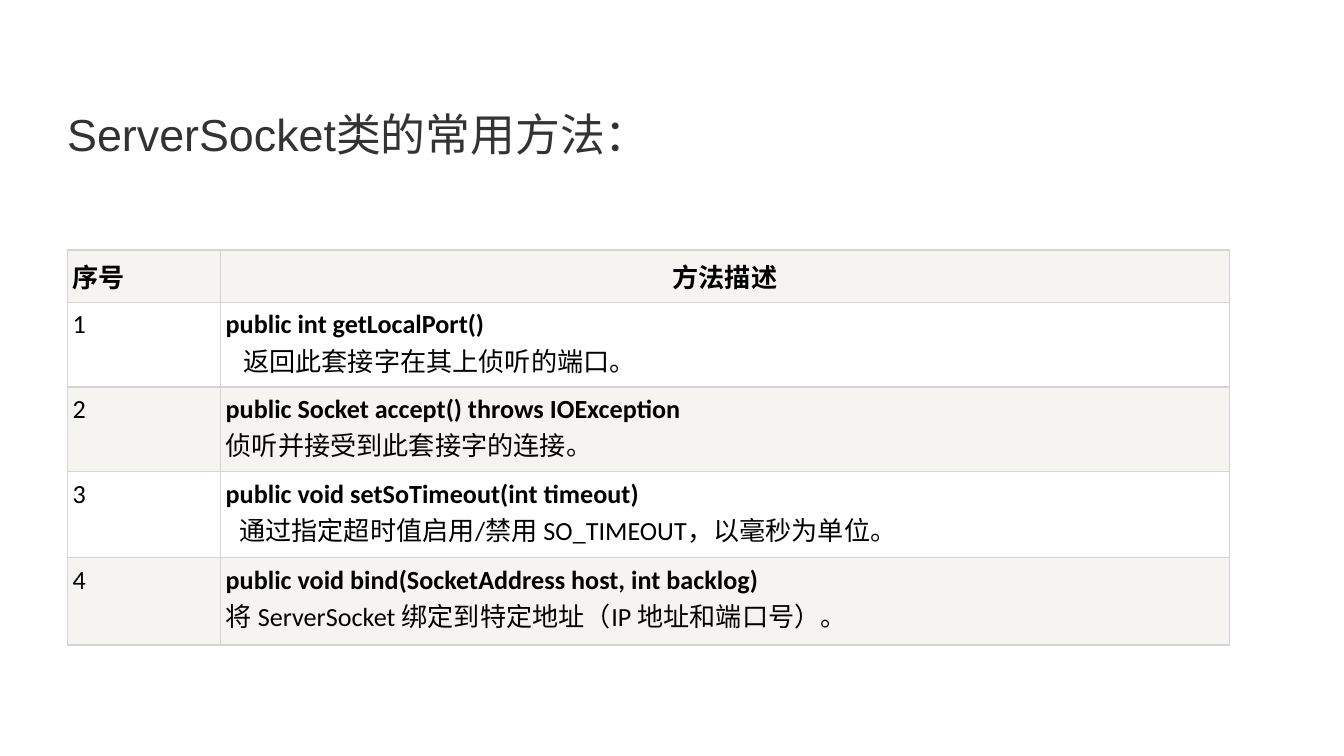
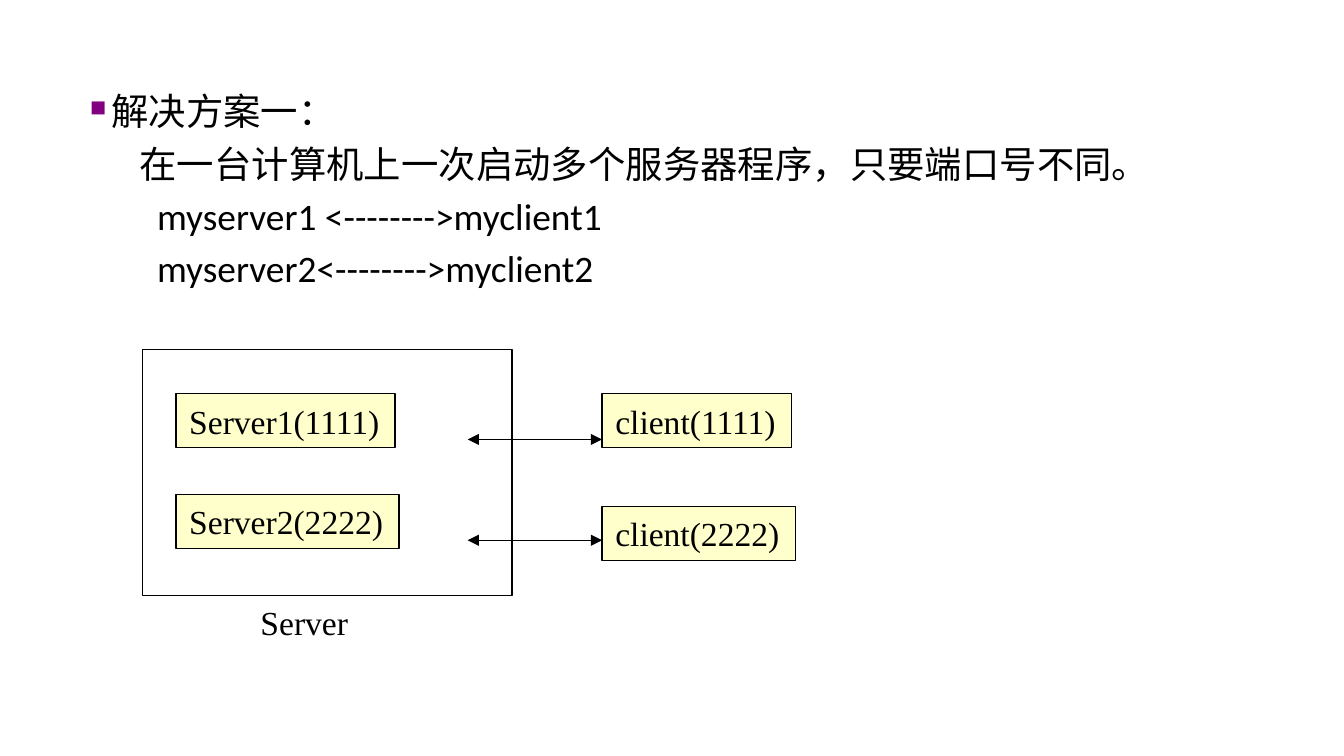
from lxml.etree import SubElement
from pptx import Presentation
from pptx.dml.color import RGBColor
from pptx.enum.shapes import MSO_CONNECTOR, MSO_SHAPE
from pptx.enum.text import MSO_ANCHOR, MSO_AUTO_SIZE, PP_ALIGN
from pptx.oxml import parse_xml
from pptx.oxml.ns import nsdecls, qn
from pptx.util import Inches, Pt

HUES = {"ink": "000000", "title": "333333", "paper": "FFFFFF", "band": "F6F4F0",
        "grid": "D4D4D4", "box": "FFFFCC", "bullet": "800080"}
HEAD = {"name": "Arial", "size": Pt(24), "bold": False}
CELL = {"name": "Calibri", "size": Pt(14)}
BODY = {"name": "Calibri", "size": Pt(20)}
LABEL = {"name": "Times New Roman", "size": Pt(18)}


def style(para, form, hue="ink"):
    for run in para.runs:
        for key, value in form.items():
            setattr(run.font, key, value)
        run.font.color.rgb = RGBColor.from_string(HUES[hue])


def indent(para, left, first=0):
    """Set the left margin and first-line offset in inches."""
    props = para._p.get_or_add_pPr()
    props.set("marL", str(Inches(left)))
    props.set("indent", str(Inches(first)))
    return props


deck = Presentation()
deck.slide_width = Inches(10)
deck.slide_height = deck.slide_width * 9 // 16

# Slide 1: method table
slide = deck.slides.add_slide(deck.slide_layouts[5])
title = slide.shapes.title
title.left, title.top = Inches(0.5), Inches(0.79)
title.width, title.height = Inches(8.65), Inches(1.21)
frame = title.text_frame
frame.text = "ServerSocket类的常用方法："
form = {"margin_left": 0, "margin_right": 0, "margin_top": 0, "margin_bottom": 0,
        "vertical_anchor": MSO_ANCHOR.TOP, "word_wrap": True,
        "auto_size": MSO_AUTO_SIZE.NONE}
for key, value in form.items():
    setattr(frame, key, value)
frame.paragraphs[0].alignment = PP_ALIGN.LEFT
style(frame.paragraphs[0], HEAD, "title")

# Each method: signature, description, indent of the description
methods = [
    ("public int getLocalPort()", "返回此套接字在其上侦听的端口。", 0.13),
    ("public Socket accept() throws IOException", "侦听并接受到此套接字的连接。", 0),
    ("public void setSoTimeout(int timeout)",
     "通过指定超时值启用/禁用 SO_TIMEOUT，以毫秒为单位。", 0.1),
    ("public void bind(SocketAddress host, int backlog)",
     "将 ServerSocket 绑定到特定地址（IP 地址和端口号）。", 0),
]
table = slide.shapes.add_table(5, 2, Inches(0.5), Inches(1.86),
                               Inches(8.65), Inches(2.84)).table
table.first_row = table.horz_banding = False
for col, width in zip(table.columns, (1.14, 7.51)):
    col.width = Inches(width)
for row, height in zip(table.rows, (0.39, 0.63, 0.63, 0.64, 0.65)):
    row.height = Inches(height)

table.cell(0, 0).text = "序号"
table.cell(0, 1).text = "方法描述"
table.cell(0, 1).text_frame.paragraphs[0].alignment = PP_ALIGN.CENTER
for num, (code, note, left) in enumerate(methods, 1):
    table.cell(num, 0).text = str(num)
    cell = table.cell(num, 1)
    cell.text = f"{code}\v{note}"
    indent(cell.text_frame.paragraphs[0], left, -left)

pads = {"margin_left": Inches(0.04), "margin_right": Inches(0.04),
        "margin_top": Inches(0.05), "margin_bottom": Inches(0.05)}
for r, row in enumerate(table.rows):
    for c, cell in enumerate(row.cells):
        for key, value in pads.items():
            setattr(cell, key, value)
        for side in ("lnL", "lnR", "lnT", "lnB"):
            cell._tc.get_or_add_tcPr().append(parse_xml(
                f'<a:{side} {nsdecls("a")} w="{Pt(0.75)}"><a:solidFill>'
                f'<a:srgbClr val="{HUES["grid"]}"/></a:solidFill></a:{side}>'))
        cell.fill.solid()
        cell.fill.fore_color.rgb = RGBColor.from_string(HUES["paper" if r % 2 else "band"])
        para = cell.text_frame.paragraphs[0]
        style(para, CELL)
        for part, run in enumerate(para.runs):
            run.font.bold = r == 0 or (c == 1 and part == 0)

# Slide 2: one server program per port
slide = deck.slides.add_slide(deck.slide_layouts[6])
shapes = slide.shapes
frame = shapes.add_textbox(Inches(0.57), Inches(0.61), Inches(8.85), Inches(1.65)).text_frame
frame.word_wrap = True
lines = [("解决方案一：", 0.16, -0.16),
         ("在一台计算机上一次启动多个服务器程序，只要端口号不同。", 0.37, 0),
         ("myserver1 <-------->myclient1", 0.5, 0),
         ("myserver2<-------->myclient2", 0.5, 0)]
frame.text = "\n".join(text for text, left, first in lines)
for num, (para, (text, left, first)) in enumerate(zip(frame.paragraphs, lines)):
    props = indent(para, left, first)
    if num:
        para.space_before = Pt(4)
    else:
        hue = SubElement(props, qn("a:buClr"))
        SubElement(hue, qn("a:srgbClr"), val=HUES["bullet"])
        SubElement(props, qn("a:buSzPct"), val="60000")
        SubElement(props, qn("a:buChar"), char="■")
    style(para, BODY)

boxes = [("Server1(1111)", 1.31, 2.93, 1.63, 0.4),
         ("client(2222)", 4.48, 3.77, 1.44, 0.4),
         ("Server2(2222)", 1.31, 3.68, 1.66, 0.4),
         ("client(1111)", 4.48, 2.93, 1.41, 0.4),
         ("", 1.06, 2.6, 2.75, 1.83)]
for text, *place in boxes:
    box = shapes.add_shape(MSO_SHAPE.RECTANGLE, *map(Inches, place))
    box.shadow.inherit = False
    box.line.color.rgb = RGBColor.from_string(HUES["ink"])
    box.line.width = Pt(0.75)
    if not text:
        box.fill.background()
        continue
    box.fill.solid()
    box.fill.fore_color.rgb = RGBColor.from_string(HUES["box"])
    box.text_frame.text = text
    box.text_frame.word_wrap = False
    para = box.text_frame.paragraphs[0]
    para.alignment = PP_ALIGN.LEFT
    style(para, LABEL)

frame = shapes.add_textbox(Inches(1.53), Inches(4.43), Inches(1.18), Inches(0.4)).text_frame
frame.text = "Server"
frame.word_wrap = True
frame.margin_right = Inches(0.12)
frame.paragraphs[0].alignment = PP_ALIGN.RIGHT
style(frame.paragraphs[0], LABEL)

for y in (3.27, 4.02):
    link = shapes.add_connector(MSO_CONNECTOR.STRAIGHT, Inches(3.48), Inches(y),
                                Inches(4.48), Inches(y))
    link.line.color.rgb = RGBColor.from_string(HUES["ink"])
    link.line.width = Pt(0.75)
    for end in ("a:headEnd", "a:tailEnd"):
        SubElement(link.line._get_or_add_ln(), qn(end), type="triangle")
    SubElement(link._element.spPr, qn("a:effectLst"))

deck.save("out.pptx")
